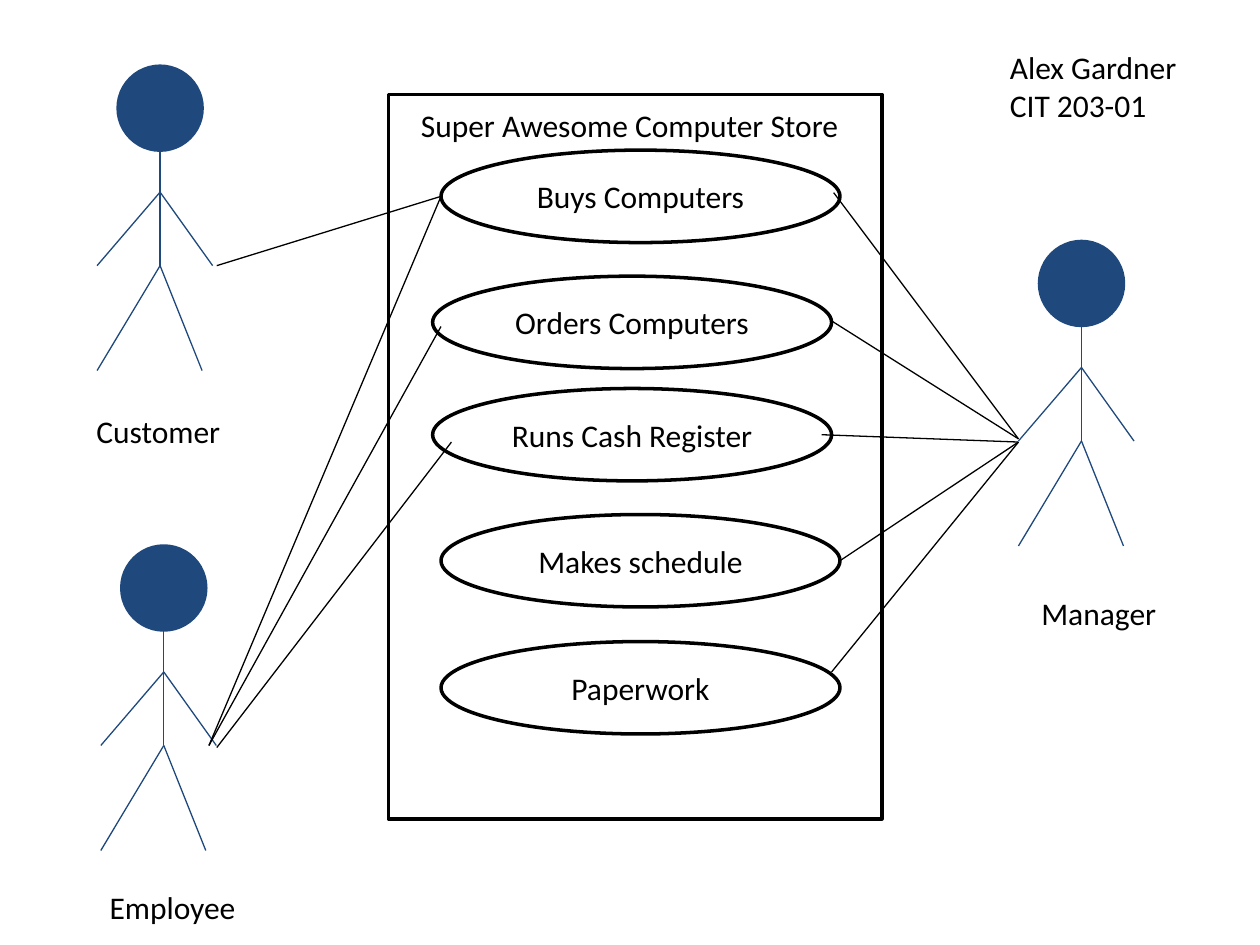
from dataclasses import dataclass

from lxml.etree import SubElement
from pptx import Presentation
from pptx.dml.color import RGBColor
from pptx.enum.shapes import MSO_CONNECTOR, MSO_SHAPE
from pptx.enum.text import MSO_ANCHOR, MSO_AUTO_SIZE, PP_ALIGN
from pptx.oxml.ns import qn
from pptx.util import Inches, Pt

COLORS = {"ink": "000000", "paper": "FFFFFF", "actor": "1F497D"}
COLUMNS, ROWS = 120, 90

presentation = Presentation()
presentation.slide_width, presentation.slide_height = Inches(10), Inches(7.5)
slide = presentation.slides.add_slide(presentation.slide_layouts[6])


@dataclass(frozen=True)
class Point:
    column: float
    row: float


@dataclass(frozen=True)
class Box:
    column: float
    row: float
    columns: float
    rows: float


@dataclass(frozen=True)
class Label:
    text: str
    box: Box


def across(columns: float) -> int:
    return round(presentation.slide_width * columns / COLUMNS)


def down(rows: float) -> int:
    return round(presentation.slide_height * rows / ROWS)


def place(box: Box) -> tuple[int, int, int, int]:
    return across(box.column), down(box.row), across(box.columns), down(box.rows)


def color(name: str) -> RGBColor:
    return RGBColor.from_string(COLORS[name])


def write(shape, text: str, alignment: PP_ALIGN) -> None:
    shape.text_frame.text = text
    for paragraph in shape.text_frame.paragraphs:
        paragraph.alignment = alignment
        paragraph.font.name = "Calibri"
        paragraph.font.size = Pt(18)
        paragraph.font.color.rgb = color("ink")


def draw_shape(kind: MSO_SHAPE, box: Box, fill: str, line: str):
    shape = slide.shapes.add_shape(kind, *place(box))
    shape.shadow.inherit = False
    shape.fill.solid()
    shape.fill.fore_color.rgb = color(fill)
    shape.line.color.rgb = color(line)
    shape.line.width = Pt(2)
    return shape


def draw_line(start: Point, end: Point, line: str) -> None:
    connector = slide.shapes.add_connector(
        MSO_CONNECTOR.STRAIGHT,
        across(start.column), down(start.row), across(end.column), down(end.row),
    )
    connector.line.color.rgb = color(line)
    connector.line.width = Pt(0.75)
    SubElement(connector._element.spPr, qn("a:effectLst"))


def draw_actor(top: Point) -> None:
    draw_shape(MSO_SHAPE.OVAL, Box(top.column - 4, top.row, 8, 8), "actor", "actor")
    neck, shoulder, hip = (Point(top.column, top.row + drop) for drop in (8, 12, 19))
    draw_line(neck, hip, "actor")
    for joint, reach, drop in ((hip, -6, 10), (hip, 4, 10), (shoulder, -6, 7), (shoulder, 5, 7)):
        draw_line(joint, Point(joint.column + reach, joint.row + drop), "actor")


def draw_use_case(label: Label) -> None:
    shape = draw_shape(MSO_SHAPE.OVAL, label.box, "paper", "ink")
    shape.text_frame.vertical_anchor = MSO_ANCHOR.MIDDLE
    write(shape, label.text, PP_ALIGN.CENTER)


def draw_label(label: Label) -> None:
    shape = slide.shapes.add_textbox(*place(label.box))
    shape.text_frame.word_wrap = False
    shape.text_frame.auto_size = MSO_AUTO_SIZE.SHAPE_TO_FIT_TEXT
    write(shape, label.text, PP_ALIGN.LEFT)


ACTORS = [Point(15.25, 6.3), Point(15.6, 52), Point(103, 23)]
USE_CASES = [
    Label(text, Box(column, row, 38, 8.8))
    for text, column, row in (
        ("Buys Computers", 42, 14.3),
        ("Orders Computers", 41.2, 26.3),
        ("Runs Cash Register", 41.2, 37),
        ("Makes schedule", 42, 49),
        ("Paperwork", 42, 61.1),
    )
]
LABELS = [
    Label("Customer", Box(8, 38.67, 14.4, 4.8)),
    Label("Employee", Box(9.25, 84, 14.5, 4.8)),
    Label("Manager", Box(98, 56, 13.4, 4.8)),
    Label("Super Awesome Computer Store", Box(38.9, 9.5, 42.6, 4.8)),
    Label("Alex Gardner\nCIT 203-01", Box(95, 4, 18.5, 8.5)),
]
BUYS_LEFT = Point(42, 18.7)
EMPLOYEE_HAND = Point(19.9, 71)
MANAGER_HAND = Point(97, 42.1)
MANAGER_WRIST = Point(97, 41.8)
LINKS = [
    (Point(20.65, 25.3), BUYS_LEFT),
    (EMPLOYEE_HAND, Point(42, 31.1)),
    (Point(20.65, 71.2), Point(43, 42.1)),
    (EMPLOYEE_HAND, BUYS_LEFT),
    (Point(79.2, 64), MANAGER_HAND),
    (Point(80, 53.4), MANAGER_HAND),
    (Point(78.25, 41.4), MANAGER_HAND),
    (Point(79.1, 30.5), MANAGER_WRIST),
    (Point(79.4, 18.35), MANAGER_WRIST),
]

draw_shape(MSO_SHAPE.RECTANGLE, Box(37, 9, 47, 69), "paper", "ink")
for actor in ACTORS:
    draw_actor(actor)
for use_case in USE_CASES:
    draw_use_case(use_case)
for start, end in LINKS:
    draw_line(start, end, "ink")
for label in LABELS:
    draw_label(label)

presentation.save("out.pptx")
